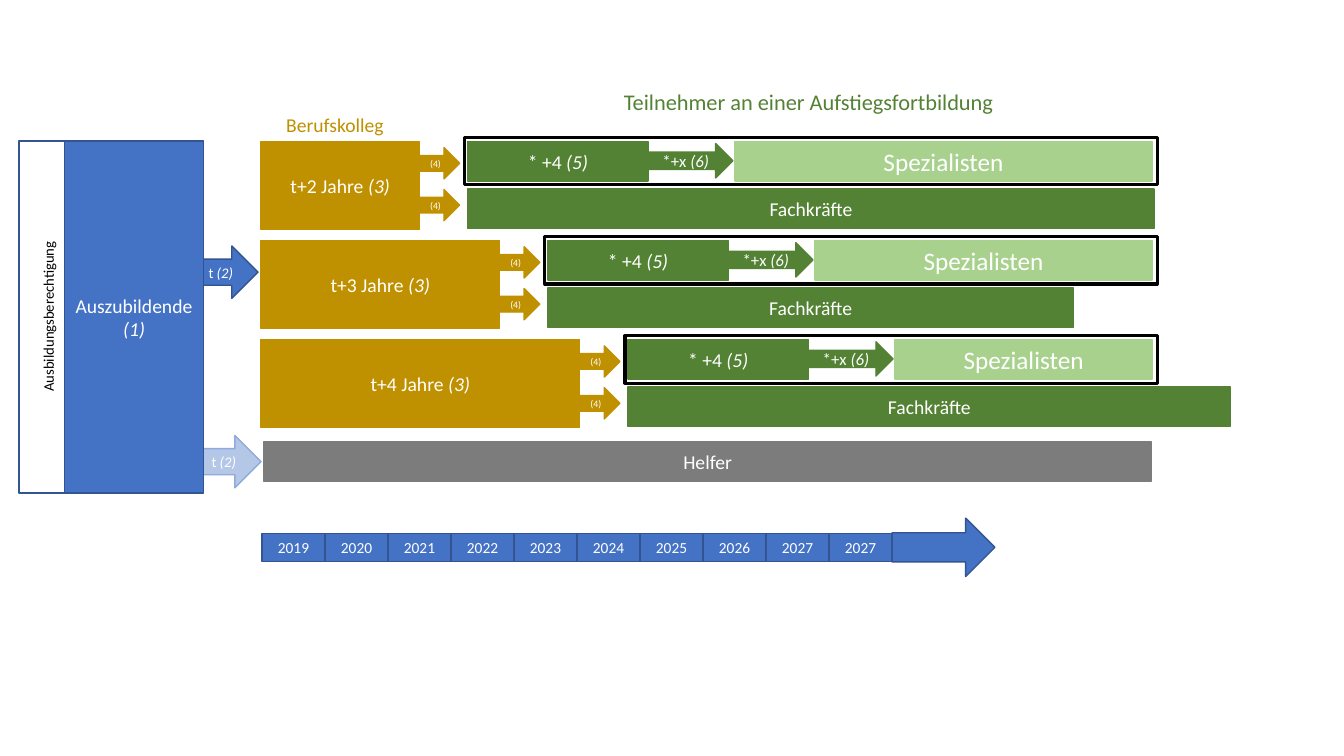
from pptx import Presentation
from pptx import util as u
from pptx.dml.color import RGBColor
from pptx.enum import shapes, text

CELL = u.Inches(0.1)
BLUE, NAVY, GOLD, GREEN = "4472C4", "325491", "BF9000", "548235"
LIME, GREY, WHITE, BLACK = "A9D18E", "7C7C7C", "FFFFFF", "000000"
RECT = shapes.MSO_SHAPE.RECTANGLE
ARROW = shapes.MSO_SHAPE.RIGHT_ARROW


def color(value):
    return RGBColor.from_string(value)


def cells(*lengths):
    return [round(length * CELL) for length in lengths]


def write(frame, label, size, hue, note="", broken=False, align=text.PP_ALIGN.CENTER):
    paragraph = frame.paragraphs[0]
    paragraph.alignment = align
    paragraph.font.size = u.Pt(size)
    paragraph.font.name = "Calibri"
    paragraph.font.color.rgb = color(hue)
    paragraph.add_run().text = label
    if broken:
        paragraph.add_line_break()
    if note:
        remark = paragraph.add_run()
        remark.text = note
        remark.font.italic = True


def block(slide, kind, place, fill, line, label="", size=14, note="", broken=False, weight=1):
    body = slide.shapes.add_shape(kind, *cells(*place))
    body.shadow.inherit = False
    if fill:
        body.fill.solid()
        body.fill.fore_color.rgb = color(fill)
    else:
        body.fill.background()
    body.line.color.rgb = color(line)
    body.line.width = u.Pt(weight)
    if label:
        frame = body.text_frame
        frame.margin_left = frame.margin_right = frame.margin_top = frame.margin_bottom = 0
        frame.vertical_anchor = text.MSO_ANCHOR.MIDDLE
        frame.word_wrap = True
        write(frame, label, size, WHITE, note, broken)


def caption(slide, place, label, size, hue, turn=0):
    box = slide.shapes.add_textbox(*cells(*place))
    box.rotation = turn
    box.text_frame.word_wrap = bool(turn)
    align = text.PP_ALIGN.CENTER if turn else text.PP_ALIGN.LEFT
    write(box.text_frame, label, size, hue, align=align)


def timeline(slide):
    years = [*range(2019, 2028), 2027]
    for column, year in enumerate(years):
        block(slide, RECT, (26 + 6.25 * column, 52.9, 6.25, 2.8), BLUE, NAVY, str(year), 11)
    block(slide, ARROW, (88.5, 51.4, 10.2, 5.8), BLUE, NAVY)


def trainees(slide):
    block(slide, RECT, (1.9, 14, 4.6, 34.9), None, NAVY)
    caption(slide, (-5.7, 30, 21, 2.8), "Ausbildungsberechtigung", 10.5, BLACK, 270)
    block(slide, ARROW, (19.5, 24.4, 6.1, 5.2), BLUE, NAVY, "t ", 10.5, "(2)")
    block(slide, ARROW, (19.8, 43.2, 6.1, 5.2), "B4C7E7", "8FAADC", "t ", 10.5, "(2)")
    block(slide, RECT, (6.4, 14, 13.8, 34.9), BLUE, NAVY, "Auszubildende", 14, "(1)", True)


def career(slide, row, skilled_end):
    top = 14.05 + 9.83 * row
    shift = 7.95 * row
    start, special = 46.4 + shift, 72.9 + shift
    block(slide, RECT, (25.9, top, 15.7 + shift, 8.7), GOLD, GOLD, f"t+{row + 2} Jahre ", 14, "(3)")
    for drop in (0.6, 4.75):
        block(slide, ARROW, (41.6 + shift, top + drop, 4, 3.1), GOLD, GOLD, "(4)", 7)
    block(slide, RECT, (start, top, 17.9, 3.9), GREEN, GREEN, "* +4 ", 14, "(5)")
    block(slide, ARROW, (64.2 + shift, top + 0.2, 8.5, 3.4), GREEN, GREEN, "*+x ", 12, "(6)")
    block(slide, RECT, (special, top, 114.3 - special, 3.9), LIME, LIME, "Spezialisten", 18)
    block(slide, RECT, (start, top + 4.7, skilled_end - start, 3.9), GREEN, GREEN, "Fachkräfte")
    frame_left = start - 0.3
    block(slide, RECT, (frame_left, top - 0.4, 114.8 - frame_left, 4.7), None, BLACK, weight=2.25)


def main():
    deck = Presentation()
    deck.slide_width, deck.slide_height = cells(133.33, 75)
    slide = deck.slides.add_slide(deck.slide_layouts[6])
    timeline(slide)
    caption(slide, (27.4, 10.7, 11.8, 3.4), "Berufskolleg", 14, GOLD)
    caption(slide, (60.9, 8.3, 39.1, 3.7), "Teilnehmer an einer Aufstiegsfortbildung", 16, GREEN)
    trainees(slide)
    block(slide, RECT, (26.2, 43.8, 88, 4), GREY, GREY, "Helfer")
    for row, skilled_end in enumerate((114.5, 106.5, 122.1)):
        career(slide, row, skilled_end)
    deck.save("out.pptx")


main()
